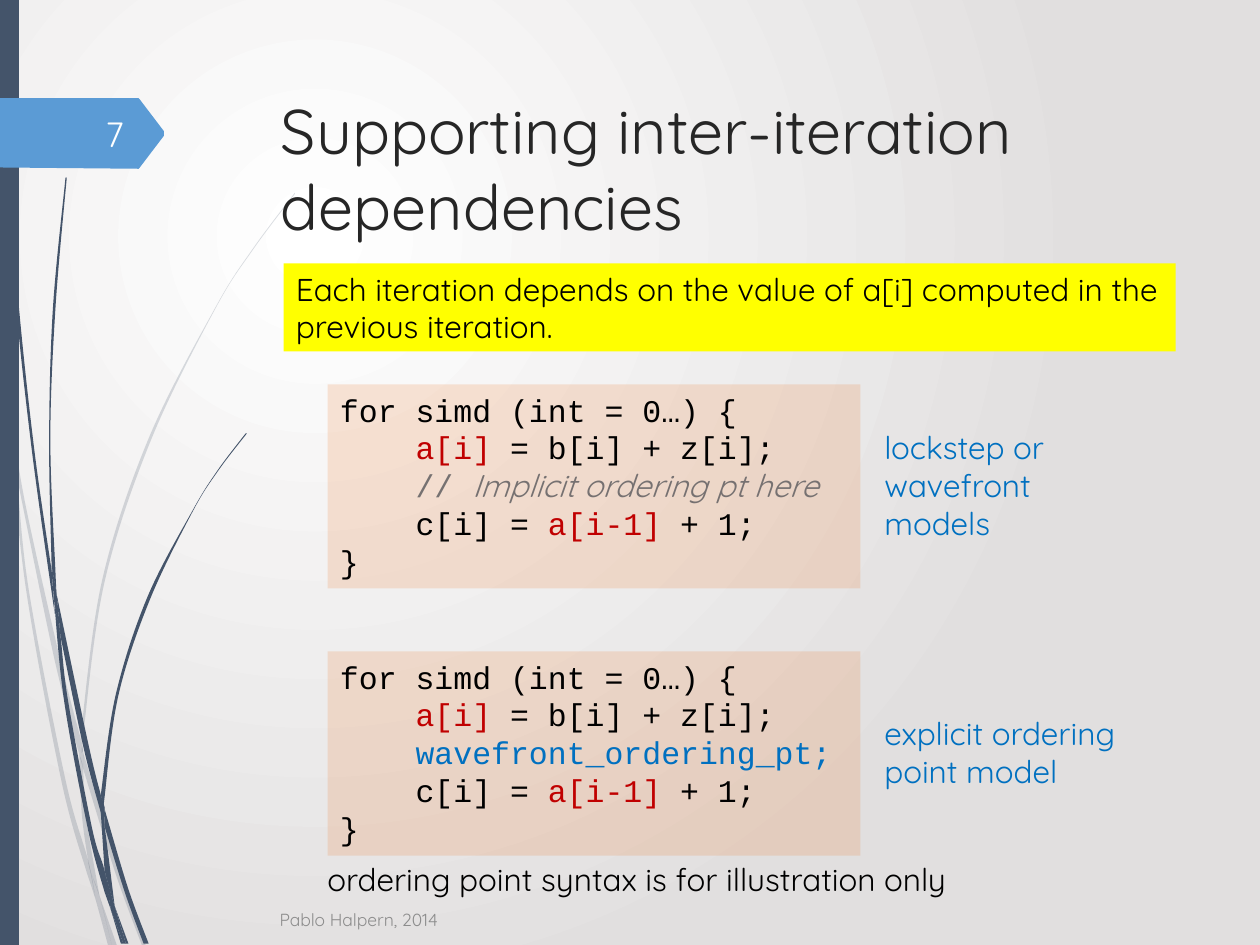
from lxml.etree import SubElement
from pptx import Presentation
from pptx.dml.color import RGBColor
from pptx.enum.shapes import MSO_SHAPE as SHAPE
from pptx.enum.text import MSO_ANCHOR as ANCHOR, MSO_AUTO_SIZE as FIT, PP_ALIGN as ALIGN
from pptx.oxml import parse_xml
from pptx.oxml.ns import nsdecls, qn
from pptx.util import Inches, Pt

SANS, MONO = "Quicksand", "Courier New"
COLORS = {
    "white": "FFFFFF", "back": "E1DFDF", "navy": "44546A", "tag": "5B9BD5",
    "title": "262626", "footer": "8C8C8C", "number": "FEFFFF", "black": "000000",
    "red": "C00000", "blue": "0070C0", "gray": "767171", "code": "ED7D31", "note": "FFFF00",
}

TITLE = "Supporting inter-iteration dependencies"
NOTE = "Each iteration depends on the value of a[i] computed in the previous iteration."
CAPTION = "ordering point syntax is for illustration only"
FOOTER = "Pablo Halpern, 2014"
NUMBER = "7"

# Code lines: indent level, then runs of (text, colour, font)
HEAD = (0, [("for simd (int = 0…) {", "black", MONO)])
STORE = (1, [("a[i] ", "red", MONO), ("= b[i] + z[i];", "black", MONO)])
LOAD = (1, [("c[i] = ", "black", MONO), ("a[i-1]", "red", MONO), (" + 1;", "black", MONO)])
TAIL = (0, [("}", "black", MONO)])
IMPLICIT = (1, [("// ", "gray", MONO), ("Implicit ordering pt here", "gray", SANS)])
EXPLICIT = (1, [("wavefront_ordering_pt;", "blue", MONO)])

# Ordering line, label, label top, label height
EXAMPLES = [
    (IMPLICIT, "lockstep or wavefront models", 3.35, 1.01),
    (EXPLICIT, "explicit ordering point model", 5.62, 0.71),
]
CODE_LEFT, CODE_TOP, CODE_W, CODE_H, CODE_STEP = 2.6, 3.05, 4.23, 1.62, 2.12
LABEL_LEFT, LABEL_W = 6.92, 2.25
INDENT = Pt(4 * 0.6 * 18)  # four monospaced characters

# Each blade of grass is a pair of smooth edges, in inches
PALE_BLADES = [
    ([(0, 2.82), (.06, 3.22), (.08, 3.5)], [(.08, 3.44), (0, 2.99)]),
    ([(.11, 3.45), (.21, 4.04), (.47, 5.2), (.64, 5.86)],
     [(.63, 5.99), (.43, 5.22), (.13, 3.76)]),
    ([(.66, 5.96), (.69, 6.07), (.95, 6.92), (1.16, 7.51)],
     [(1.13, 7.51), (.92, 6.94), (.66, 6.1)]),
    ([(.79, 7.11), (.93, 7.51)], [(.89, 7.51)]),
    ([(.08, 3.5), (.13, 3.76), (.23, 4.69), (.52, 6.19), (.7, 6.83), (.76, 7.14)],
     [(.69, 6.93), (.49, 6.21), (.21, 4.7), (.08, 3.5)]),
    ([(.63, 5.99), (.66, 6.1), (.68, 6.46), (.79, 7.11)],
     [(.72, 6.92), (.7, 6.83), (.65, 6.46), (.63, 5.99)]),
    ([(.66, 5.96), (.66, 5.84), (.83, 4.62), (1.2, 3.49), (1.71, 2.45), (2.01, 1.98), (2.34, 1.54)],
     [(2.34, 1.53), (2.01, 1.97), (1.71, 2.44), (1.18, 3.48), (.81, 4.61), (.64, 5.84)]),
    ([(.76, 7.14), (.89, 7.51)], [(.86, 7.51)]),
    ([(.64, 5.86), (.66, 5.96), (.66, 6.1)], [(.63, 5.99)]),
    ([(.7, 6.83), (.72, 6.92), (.79, 7.11), (.89, 7.51)], [(.76, 7.14)]),
]
DARK_BLADES = [
    ([(.02, 0), (.03, .48), (.05, 1.1), (.12, 2.33), (.25, 3.55), (.42, 4.77), (.43, 4.81)],
     [(.41, 4.53), (.27, 3.55), (.14, 2.32), (.06, 1.09), (.03, 0)]),
    ([(.45, 4.72), (.7, 5.9), (.8, 6.31)], [(.8, 6.45), (.66, 5.92), (.48, 5.05)]),
    ([(.83, 6.41), (.85, 6.49), (1.02, 7.06), (1.18, 7.49)],
     [(1.14, 7.49), (.99, 7.08), (.83, 6.56)]),
    ([(.43, 4.77), (.48, 5.05), (.54, 5.56), (.73, 6.57), (.83, 6.91), (.88, 7.22)],
     [(.83, 7.08), (.7, 6.59), (.51, 5.57), (.43, 4.77)]),
    ([(.45, 4.72), (.44, 4.53), (.4, 3.49), (.44, 2.45), (.53, 1.41)],
     [(.52, 1.41), (.42, 2.45), (.39, 3.49), (.41, 4.49)]),
    ([(.91, 7.19), (1.02, 7.49)], [(1, 7.49)]),
    ([(.41, 4.49), (.45, 4.72), (.48, 5.05)], [(.43, 4.77), (.41, 4.53)]),
    ([(.83, 6.41), (.83, 6.33), (.94, 5.52), (1.19, 4.76), (1.53, 4.06), (1.73, 3.74), (1.96, 3.44)],
     [(1.95, 3.44), (1.73, 3.73), (1.53, 4.05), (1.17, 4.74), (.92, 5.51), (.8, 6.31)]),
    ([(.88, 7.22), (.98, 7.49)], [(.96, 7.49)]),
    ([(.8, 6.45), (.83, 6.56), (.91, 7.19)], [(.87, 7.06), (.83, 6.91)]),
    ([(.8, 6.31), (.83, 6.41), (.83, 6.56)], [(.8, 6.45)]),
    ([(.83, 6.91), (.91, 7.19), (1, 7.49)], [(.98, 7.49), (.88, 7.22)]),
]
TAG = [(0, .78), (1.1, .78), (1.11, .79), (1.3, 1.04), (1.3, 1.08), (1.11, 1.33), (1.1, 1.34), (0, 1.33)]


def rgb(name):
    return RGBColor.from_string(COLORS[name])


def paint(sp, color, alpha=100):
    sp.shadow.inherit = False
    sp.line.fill.background()
    sp.fill.solid()
    sp.fill.fore_color.rgb = rgb(color)
    if alpha < 100:
        clr = sp._element.spPr.find(f".//{qn('a:srgbClr')}")
        SubElement(clr, qn("a:alpha"), val=str(alpha * 1000))


def polygon(shapes, points, color, alpha=100):
    emu = [(Inches(x), Inches(y)) for x, y in points]
    builder = shapes.build_freeform(*emu[0])
    builder.add_line_segments(emu[1:], close=True)
    sp = builder.convert_to_shape()
    paint(sp, color, alpha)
    return sp


def bend(sp, edges):
    """Turn the straight segments of each edge into cubic curves through its points."""
    outline = sp._element.spPr.find(f".//{qn('a:path')}")
    nodes = list(outline)
    for edge in edges:
        part, nodes = nodes[:len(edge)], nodes[len(edge):]
        if len(edge) < 3:
            continue
        knots = [tuple(int(n[0].get(axis)) for axis in "xy") for n in part]
        padded = [knots[0], *knots, knots[-1]]
        for node, a, b, c, d in zip(part[1:], padded, padded[1:], padded[2:], padded[3:]):
            leave = [q + (r - p) / 6 for p, q, r in zip(a, b, c)]
            arrive = [r - (s - q) / 6 for q, r, s in zip(b, c, d)]
            curve = SubElement(outline, qn("a:cubicBezTo"))
            for x, y in (leave, arrive, c):
                SubElement(curve, qn("a:pt"), x=str(round(x)), y=str(round(y)))
            outline.replace(node, curve)


def blades(slide, grass, alpha=100):
    group = slide.shapes.add_group_shape()
    for edges in grass:
        bend(polygon(group.shapes, edges[0] + edges[1], "navy", alpha), edges)


def rect(slide, box, color, alpha=100):
    sp = slide.shapes.add_shape(SHAPE.RECTANGLE, *map(Inches, box))
    paint(sp, color, alpha)
    return sp


def text_box(slide, box):
    return slide.shapes.add_textbox(*map(Inches, box))


def add_run(p, text, color, size, font):
    r = p.add_run()
    r.text = text
    r.font.name, r.font.size, r.font.color.rgb = font, Pt(size), rgb(color)
    if color == "gray" and font == SANS:
        r.font.italic = True


def write(sp, lines, size=18, anchor=ANCHOR.TOP, align=ALIGN.LEFT):
    """Fill a shape with lines of (indent level, runs)."""
    tf = sp.text_frame
    tf.word_wrap, tf.auto_size, tf.vertical_anchor = True, FIT.NONE, anchor
    for i, (level, runs) in enumerate(lines):
        p = tf.add_paragraph() if i else tf.paragraphs[0]
        p.alignment = align
        if level:
            p._p.get_or_add_pPr().set("marL", str(level * INDENT))
        for text, color, font in runs:
            add_run(p, text, color, size, font)


def write_plain(sp, text, color, **options):
    write(sp, [(0, [(text, color, SANS)])], **options)


def set_background(slide):
    fill = slide.background.fill
    fill.gradient()
    for stop, name in zip(fill.gradient_stops, ("white", "back")):
        stop.color.rgb = rgb(name)
    lin = slide._element.find(f".//{qn('a:lin')}")
    lin.getparent().replace(lin, parse_xml(
        f'<a:path {nsdecls("a")} path="circle">'
        '<a:fillToRect l="50000" t="50000" r="100000" b="100000"/></a:path>'))


def main():
    prs = Presentation()
    prs.slide_width, prs.slide_height = Inches(10), Inches(7.5)
    slide = prs.slides.add_slide(prs.slide_layouts[5])
    set_background(slide)

    blades(slide, PALE_BLADES, 20)
    blades(slide, DARK_BLADES)
    rect(slide, (0, 0, 0.15, 7.5), "navy")
    polygon(slide.shapes, TAG, "tag")

    title = slide.shapes.title
    title.left, title.top, title.width, title.height = map(Inches, (2.13, 0.68, 7.31, 1.4))
    write_plain(title, TITLE, "title", size=36)
    slide.shapes._spTree.append(title._element)  # in front of the grass

    write_plain(text_box(slide, (2.12, 7.1, 6.25, 0.4)), FOOTER, "footer",
                size=10, anchor=ANCHOR.MIDDLE)
    write_plain(text_box(slide, (0.44, 0.86, 0.64, 0.4)), NUMBER, "number",
                size=20, anchor=ANCHOR.MIDDLE, align=ALIGN.RIGHT)

    for row, (ordering, label, top, height) in enumerate(EXAMPLES):
        code = rect(slide, (CODE_LEFT, CODE_TOP + row * CODE_STEP, CODE_W, CODE_H), "code", 19)
        write(code, [HEAD, STORE, ordering, LOAD, TAIL])
        write_plain(text_box(slide, (LABEL_LEFT, top, LABEL_W, height)), label, "blue")

    write_plain(rect(slide, (2.25, 2.09, 7.08, 0.7), "note"), NOTE, "black")
    write_plain(text_box(slide, (2.5, 6.78, 5.25, 0.4)), CAPTION, "black")
    prs.save("out.pptx")


if __name__ == "__main__":
    main()
